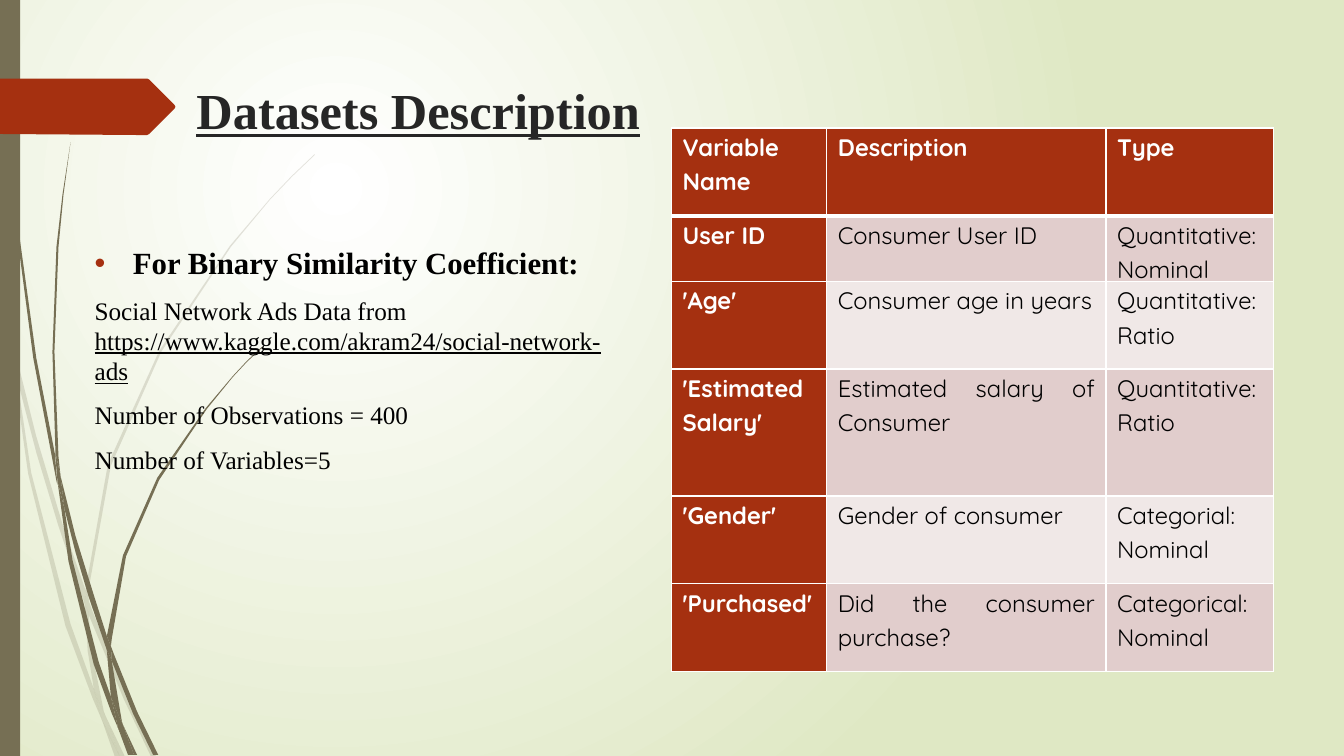
from lxml.etree import SubElement as Sub
from pptx import Presentation
from pptx.dml.color import RGBColor
from pptx.enum.shapes import MSO_SHAPE as Kind
from pptx.enum.text import PP_ALIGN as Align
from pptx.oxml.ns import qn
from pptx.util import Pt

PX = 9144  # 100 px to the inch
RUST, OLIVE, WHITE, BLACK = "A53010", "766F54", "FFFFFF", "000000"
BANDS = "E1CDCC", "F0E8E7"
SERIF = "Times New Roman"

PALE = [
    [(11, 350), (9, 322), (0, 282), (0, 299), (10, 344)],
    [(58, 522), (84, 599), (85, 586), (62, 520), (36, 433), (14, 345),
     (17, 376), (36, 449)],
    [(92, 607), (88, 596), (88, 610), (123, 694), (150, 751), (155, 751), (127, 692)],
    [(119, 751), (124, 751), (105, 711)],
    [(93, 683), (70, 619), (31, 469), (17, 376), (11, 350), (28, 470), (65, 621),
     (92, 693), (101, 714), (99, 707)],
    [(84, 599), (87, 646), (93, 683), (96, 692), (105, 711), (103, 706), (91, 646),
     (88, 610), (88, 608)],
    [(88, 584), (110, 462), (160, 349), (229, 245), (268, 198), (290, 175), (312, 154),
     (312, 153), (289, 175), (268, 197), (228, 244), (158, 348), (107, 461), (85, 584),
     (85, 586), (88, 596)],
    [(101, 714), (114, 751), (119, 751)],
    [(88, 608), (88, 610), (88, 596), (85, 586), (84, 599)],
    [(96, 692), (93, 683), (99, 707), (101, 714), (119, 751), (105, 711)],
]
DARK = [
    [(7, 110), (17, 233), (33, 355), (56, 477), (57, 481), (55, 457), (55, 453),
     (36, 355), (19, 232), (8, 109), (5, 48), (4, 0), (3, 0), (4, 48)],
    [(88, 592), (106, 645), (106, 633), (106, 631), (93, 590), (75, 532), (60, 472),
     (64, 505), (75, 548)],
    [(113, 649), (110, 641), (111, 656), (132, 708), (152, 749), (157, 749), (136, 706)],
    [(110, 691), (98, 657), (72, 556), (64, 505), (57, 477), (68, 557), (93, 659),
     (111, 708), (117, 722), (116, 717)],
    [(60, 472), (58, 453), (54, 349), (58, 245), (63, 193), (70, 141), (62, 193),
     (56, 245), (52, 349), (55, 449)],
    [(133, 749), (136, 749), (122, 719)],
    [(57, 477), (64, 505), (60, 472), (55, 449), (55, 453)],
    [(111, 633), (125, 552), (158, 476), (205, 406), (231, 374), (245, 359), (261, 344),
     (260, 344), (245, 358), (231, 373), (204, 405), (156, 474), (122, 551), (106, 631),
     (110, 641)],
    [(117, 722), (127, 749), (131, 749)],
    [(106, 645), (110, 691), (116, 706), (122, 719), (121, 716), (111, 656), (109, 651)],
    [(106, 645), (109, 651), (111, 656), (110, 641), (106, 631), (106, 633)],
    [(116, 706), (110, 691), (116, 717), (117, 722), (130, 749), (133, 749), (122, 719)],
]
ARROW = [(173, 108), (148, 133), (146, 134), (136, 134), (0, 133), (0, 78),
         (146, 78), (148, 79), (173, 104), (174, 106)]

COLS = [154, 277, 166]
ROWS = [87, 45, 87, 126, 87, 87]
CELLS = [
    ["Variable Name", "Description", "Type"],
    ["User ID", "Consumer User ID", "Quantitative:Nominal"],
    ["'Age'", "Consumer age in years", "Quantitative: Ratio"],
    ["'Estimated Salary'", "Estimated salary of Consumer", "Quantitative:Ratio"],
    ["'Gender'", "Gender of consumer", "Categorial: Nominal"],
    ["'Purchased'", "Did the consumer purchase?", "Categorical: Nominal"],
]


def px(*vals):
    return [round(v * PX) for v in vals]


def rgb(code):
    return RGBColor.from_string(code)


def paint(shape, color, alpha=None):
    shape.shadow.inherit = False
    shape.line.fill.background()
    shape.fill.solid()
    shape.fill.fore_color.rgb = rgb(color)
    if alpha:
        tint = shape.element.spPr.find(qn("a:solidFill"))[0]
        Sub(tint, qn("a:alpha"), val=str(alpha * 1000))


def outline(slide, points, color, alpha=None):
    pen = slide.shapes.build_freeform(*points[0], scale=float(PX))
    pen.add_line_segments(points[1:], close=True)
    paint(pen.convert_to_shape(), color, alpha)


def write(para, text, size=18, color=BLACK, face=SERIF, bold=False, line=False):
    run = para.add_run()
    run.text = text
    font = run.font
    font.size, font.name = Pt(size), face
    font.bold, font.underline = bold, line
    font.color.rgb = rgb(color)


def frame(slide, x, y, w, h, top):
    """Add a wrapping text box whose first line starts top px down."""
    text = slide.shapes.add_textbox(*px(x, y, w, h)).text_frame
    text.word_wrap = True
    text.margin_top = px(top)[0]
    return text


def dot(para):
    props = para._p.get_or_add_pPr()
    left, = px(38)
    props.set("marL", str(left))
    props.set("indent", str(-left))
    Sub(Sub(props, qn("a:buClr")), qn("a:srgbClr"), val=RUST)
    Sub(props, qn("a:buFont"), typeface="Arial")
    Sub(props, qn("a:buChar"), char="•")


def rule(cell, side, width):
    props = cell._tc.get_or_add_tcPr()
    edge = Sub(props, qn("a:ln" + side), w=str(Pt(width)))
    Sub(Sub(edge, qn("a:solidFill")), qn("a:srgbClr"), val=WHITE)


def fill_cell(cell, text, row, col):
    head = row == 0 or col == 0
    for side in "LRTB":
        thick = (row, side) in [(0, "B"), (1, "T")]
        rule(cell, side, 3 if thick else 1)
    cell.fill.solid()
    cell.fill.fore_color.rgb = rgb(RUST if head else BANDS[(row - 1) % 2])
    cell.margin_left = cell.margin_right = px(11)[0]
    cell.margin_top = cell.margin_bottom = 0
    para = cell.text_frame.paragraphs[0]
    para.alignment, para.line_spacing = Align.JUSTIFY, 1.15
    write(para, text, size=17, face="Quicksand", bold=head,
          color=WHITE if head else BLACK)


def add_grid(slide):
    grid = slide.shapes.add_table(
        len(ROWS), len(COLS), *px(666, 127, sum(COLS), sum(ROWS))).table
    for col, width in zip(grid.columns, px(*COLS)):
        col.width = width
    for row, height in zip(grid.rows, px(*ROWS)):
        row.height = height
    for r, texts in enumerate(CELLS):
        for c, text in enumerate(texts):
            fill_cell(grid.cell(r, c), text, r, c)


def add_back(slide):
    """Fill the background with a round gradient."""
    fill = slide.background.fill
    fill.gradient()
    for stop, color in zip(fill.gradient_stops, [WHITE, "DFE8C4"]):
        stop.color.rgb = rgb(color)
    grad = slide.element.find(".//" + qn("a:gradFill"))
    grad.remove(grad.find(qn("a:lin")))
    Sub(Sub(grad, qn("a:path"), path="circle"), qn("a:fillToRect"),
        l="50000", t="50000", r="100000", b="100000")


def add_notes(slide):
    body = frame(slide, 84, 233, 553, 413, top=9)
    first = body.paragraphs[0]
    dot(first)
    write(first, "For Binary Similarity Coefficient:", size=22, bold=True)
    data, count, size = [body.add_paragraph() for _ in range(3)]
    for para in (data, count, size):
        para.space_before = Pt(10)
    write(data, "Social Network Ads Data from ")
    write(data, "https://www.kaggle.com/akram24/social-network-ads", line=True)
    write(count, "Number of Observations = 400")
    write(size, "Number of Variables=5")


def main():
    deck = Presentation()
    deck.slide_width, deck.slide_height = px(1333, 750)
    slide = deck.slides.add_slide(deck.slide_layouts[6])
    add_back(slide)
    for blade in PALE:
        outline(slide, blade, OLIVE, alpha=20)
    for blade in DARK:
        outline(slide, blade, OLIVE)
    paint(slide.shapes.add_shape(Kind.RECTANGLE, *px(0, 0, 20, 750)), OLIVE)
    outline(slide, ARROW, RUST)
    title = frame(slide, 185, 68, 469, 140, top=11)
    write(title.paragraphs[0], "Datasets Description", size=36, color="262626",
          bold=True, line=True)
    add_notes(slide)
    add_grid(slide)
    deck.save("out.pptx")


if __name__ == "__main__":
    main()
